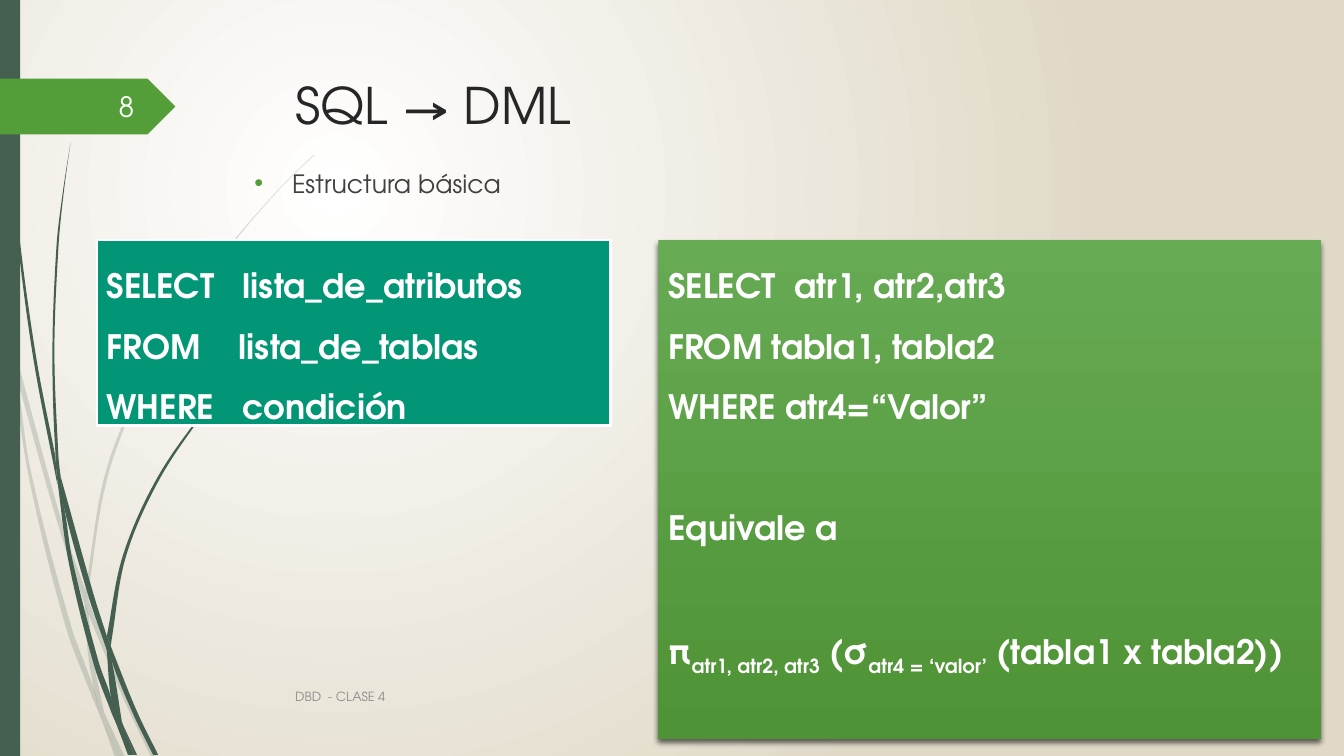
from math import dist
from lxml import etree
from pptx import Presentation, util as u
from pptx.dml.color import RGBColor
from pptx.enum import shapes, text
from pptx.oxml.ns import qn

FONT = "TeX Gyre Adventor"
DARK, GREEN, TEAL, WHITE = "455F51", "549E39", "029676", "FFFFFF"

# Content: each line is a list of (text, is subscript) runs
TITLE = "SQL → DML"
TOPIC = "Estructura básica"
FOOT = "DBD  - CLASE 4"
PAGE = "8"
FORM = [[(key + "\t" + arg, False)] for key, arg in (
    ("SELECT", "lista_de_atributos"),
    ("FROM", "lista_de_tablas"),
    ("WHERE", "condición"))]
STOPS = (3.43, 3.33, 3.42)  # tab stop of each line of FORM
CASE = [
    [("SELECT  atr1, atr2,atr3", False)],
    [("FROM tabla1, tabla2", False)],
    [("WHERE atr4=“Valor”", False)],
    [("Equivale a", False)],
    [("π", False), ("atr1, atr2, atr3", True), (" (σ", False),
     ("atr4 = ‘valor’", True), (" (tabla1 x tabla2))", False)],
]
GAPS = {3: 43, 4: 43.5}  # points before a line of CASE

# Grass blades in inches: the two edges of each piece, in drawing order
INCH = 2.54
PALE = [
    ("0.11 3.5, 0.09 3.22, 0 2.82", "0 2.99, 0.1 3.44, 0.11 3.5"),
    ("0.14 3.45, 0.62 5.2, 0.85 5.86", "0.84 5.99, 0.58 5.22, 0.17 3.76"),
    ("0.88 5.96, 0.92 6.07, 1.27 6.92, 1.55 7.51",
     "1.5 7.51, 1.23 6.94, 0.88 6.1"),
    ("1.05 7.11, 1.24 7.51", "1.19 7.51, 1.05 7.11"),
    ("0.11 3.5, 0.17 3.76, 0.31 4.69, 0.7 6.19, 0.93 6.83, 1.01 7.14",
     "0.92 6.93, 0.65 6.21, 0.28 4.7, 0.11 3.5"),
    ("0.84 5.99, 0.87 6.46, 0.93 6.83, 0.96 6.92, 1.05 7.11",
     "1.03 7.06, 0.91 6.46, 0.88 6.1, 0.84 5.99"),
    ("0.88 5.96, 0.88 5.84, 1.1 4.62, 1.6 3.49, 2.29 2.45, 2.68 1.98, "
     "2.9 1.75, 3.12 1.54",
     "3.12 1.53, 2.89 1.75, 2.68 1.97, 2.28 2.44, 1.58 3.48, 1.07 4.61, "
     "0.85 5.84, 0.85 5.86"),
    ("1.01 7.14, 1.14 7.51", "1.19 7.51, 1.01 7.14"),
    ("0.85 5.86, 0.84 5.99, 0.88 6.1", "0.88 5.96, 0.85 5.86"),
    ("0.93 6.83, 0.99 7.07, 1.01 7.14, 1.19 7.51",
     "1.19 7.51, 1.05 7.11, 0.96 6.92, 0.93 6.83"),
]
DEEP = [
    ("0.04 0, 0.04 0.48, 0.07 1.1, 0.17 2.33, 0.33 3.55, 0.57 4.81",
     "0.55 4.53, 0.36 3.55, 0.19 2.32, 0.08 1.09, 0.05 0.48, 0.03 0"),
    ("0.6 4.72, 0.64 5.05, 0.88 5.92, 1.06 6.45",
     "1.06 6.31, 0.93 5.9, 0.6 4.72"),
    ("1.1 6.41, 1.11 6.56, 1.32 7.08, 1.52 7.49",
     "1.57 7.49, 1.36 7.06, 1.13 6.49, 1.1 6.41"),
    ("0.57 4.77, 0.64 5.05, 0.72 5.56, 0.98 6.57, 1.1 6.91, 1.17 7.22",
     "1.11 7.08, 0.93 6.59, 0.68 5.57, 0.57 4.77"),
    ("0.6 4.72, 0.58 4.53, 0.54 3.49, 0.58 2.45, 0.63 1.93, 0.7 1.41",
     "0.7 1.41, 0.62 1.93, 0.56 2.45, 0.52 3.49, 0.55 4.49, 0.6 4.72"),
    ("1.22 7.19, 1.36 7.49", "1.33 7.49, 1.22 7.19"),
    ("0.55 4.49, 0.57 4.77, 0.64 5.05", "0.6 4.72, 0.55 4.49"),
    ("1.1 6.41, 1.11 6.33, 1.25 5.52, 1.58 4.76, 2.05 4.06, 2.31 3.74, "
     "2.61 3.44",
     "2.6 3.44, 2.31 3.73, 2.04 4.05, 1.56 4.74, 1.22 5.51, 1.06 6.31"),
    ("1.17 7.22, 1.27 7.49", "1.31 7.49, 1.17 7.22"),
    ("1.06 6.45, 1.1 6.91, 1.16 7.06, 1.22 7.19",
     "1.21 7.16, 1.11 6.56, 1.06 6.45"),
    ("1.06 6.31, 1.06 6.45, 1.11 6.56", "1.1 6.41, 1.06 6.31"),
    ("1.1 6.91, 1.17 7.22, 1.3 7.49", "1.33 7.49, 1.22 7.19, 1.1 6.91"),
]


def color(code):
    return RGBColor.from_string(code)


def node(parent, tag, **attrs):
    return etree.SubElement(parent, qn(tag), attrs)


def blend(fill, first, last):
    fill.gradient()
    for stop, code, pos in zip(fill.gradient_stops, (first, last), (0, 1)):
        stop.color.rgb, stop.position = color(code), pos


def paint(shape, code=None, edge=None):
    shape.shadow.inherit = False
    if code:
        shape.fill.solid()
        shape.fill.fore_color.rgb = color(code)
    if edge:
        shape.line.color.rgb, shape.line.width = color(edge), u.Pt(1.75)
    else:
        shape.line.fill.background()
    return shape


def block(kind, box, code=None, edge=None):
    return paint(page.shapes.add_shape(kind, *map(u.Cm, box)), code, edge)


def write(par, words, size, code, bold=False, sub=False):
    run = par.add_run()
    run.text = words
    font = run.font
    font.name, font.size, font.bold = FONT, u.Pt(size), bold
    font.color.rgb = color(code)
    if sub:
        run.font._element.set("baseline", "-25000")


def label(box, words, size, code, anchor=text.MSO_ANCHOR.MIDDLE):
    frame = page.shapes.add_textbox(*map(u.Cm, box)).text_frame
    frame.word_wrap, frame.vertical_anchor = True, anchor
    write(frame.paragraphs[0], words, size, code)
    return frame.paragraphs[0]


def query(shape, lines, gaps):
    frame = shape.text_frame
    frame.word_wrap, frame.vertical_anchor = True, text.MSO_ANCHOR.TOP
    for i, line in enumerate(lines):
        par = frame.paragraphs[0] if i == 0 else frame.add_paragraph()
        par.alignment, par.line_spacing = text.PP_ALIGN.LEFT, 1.5
        if i in gaps:
            par.space_before = u.Pt(gaps[i])
        for words, sub in line:
            write(par, words, 24, WHITE, True, sub)
    return frame


def handles(pts):
    """Yield both Bezier handles and the end of each step along an edge."""
    row = [pts[0]] + pts + [pts[-1]]
    for a, b, c, d in zip(row, row[1:], row[2:], row[3:]):
        out, back = (dist(b, c) / 3 / (dist(*ends) or 1)
                     for ends in ((a, c), (b, d)))
        yield ([b[n] + (c[n] - a[n]) * out for n in (0, 1)],
               [c[n] - (d[n] - b[n]) * back for n in (0, 1)], c)


def blade(edges, alpha=None):
    sides = [[tuple(u.Cm(float(v) * INCH) for v in p.split())
              for p in edge.split(",")] for edge in edges]
    pts = sides[0] + sides[1]
    pen = page.shapes.build_freeform(*pts[0])
    pen.add_line_segments(pts[1:], close=True)
    shape = paint(pen.convert_to_shape(), DARK)
    # Bend the straight steps within each edge
    steps = iter(list(shape._element.iter(qn("a:lnTo"))))
    for i, side in enumerate(sides):
        if i:
            next(steps)  # the tip between the edges stays straight
        for trio in handles(side):
            step = next(steps)
            bend = etree.Element(qn("a:cubicBezTo"))
            for x, y in trio:
                node(bend, "a:pt", x=str(round(x - shape.left)),
                     y=str(round(y - shape.top)))
            step.getparent().replace(step, bend)
    if alpha:
        tint = shape._element.spPr.find(qn("a:solidFill"))[0]
        node(tint, "a:alpha", val=str(alpha * 1000))


deck = Presentation()
deck.slide_width, deck.slide_height = u.Cm(33.87), u.Cm(19.05)
page = deck.slides.add_slide(deck.slide_layouts[5])

# Background: white glow at the upper left
blend(page.background.fill, WHITE, "E0D9C8")
grad = page.background._cSld.find(".//" + qn("a:gradFill"))
grad.remove(grad.find(qn("a:lin")))
glow = node(grad, "a:path", path="circle")
node(glow, "a:fillToRect", l="50000", t="50000", r="100000", b="100000")

# Grass, side bar and page marker
for edges in PALE:
    blade(edges, 20)
for edges in DEEP:
    blade(edges)
block(shapes.MSO_SHAPE.RECTANGLE, (0, 0, 0.51, 19.05), DARK)
block(shapes.MSO_SHAPE.PENTAGON, (0, 1.98, 4.42, 1.41), GREEN)

# Title
title = page.shapes.title
title.left, title.top, title.width, title.height = map(
    u.Cm, (7.2, 1.73, 24.77, 3.56))
title.text_frame.vertical_anchor = text.MSO_ANCHOR.TOP
head = title.text_frame.paragraphs[0]
head.alignment = text.PP_ALIGN.LEFT
write(head, TITLE, 36, "262626")

# Topic with its bullet
topic = label((6.16, 4.11, 24.77, 10.49), TOPIC, 18, "404040",
              text.MSO_ANCHOR.TOP)
props = topic._p.get_or_add_pPr()
props.set("marL", str(u.Cm(0.95)))
props.set("indent", str(-u.Cm(0.95)))
node(node(props, "a:buClr"), "a:srgbClr", val=GREEN)
node(props, "a:buFont", typeface="Arial")
node(props, "a:buChar", char="•")

# Footer and page number
label((7.19, 17.04, 21.16, 1.02), FOOT, 9, "8C8C8C")
label((1.47, 2.18, 2.16, 1.02), PAGE, 20, "FEFFFF").alignment = \
    text.PP_ALIGN.RIGHT

# General form, with arguments on tab stops
form = block(shapes.MSO_SHAPE.RECTANGLE, (2.44, 6.05, 12.95, 4.67), TEAL, WHITE)
for par, stop in zip(query(form, FORM, {}).paragraphs, STOPS):
    tabs = node(par._p.get_or_add_pPr(), "a:tabLst")
    node(tabs, "a:tab", pos=str(u.Cm(stop)), algn="l")

# Worked case on a shaded panel
case = block(shapes.MSO_SHAPE.RECTANGLE, (16.59, 6.05, 16.71, 12.57))
blend(case.fill, "67AA54", "4E9335")
case.fill.gradient_angle = 270
shade = node(case._element.spPr.find(qn("a:effectLst")), "a:outerShdw",
             blurRad=str(u.Pt(4)), dist=str(u.Pt(3)), dir="5400000",
             rotWithShape="0")
node(node(shade, "a:srgbClr", val="000000"), "a:alpha", val="60000")
query(case, CASE, GAPS)

deck.save("out.pptx")
